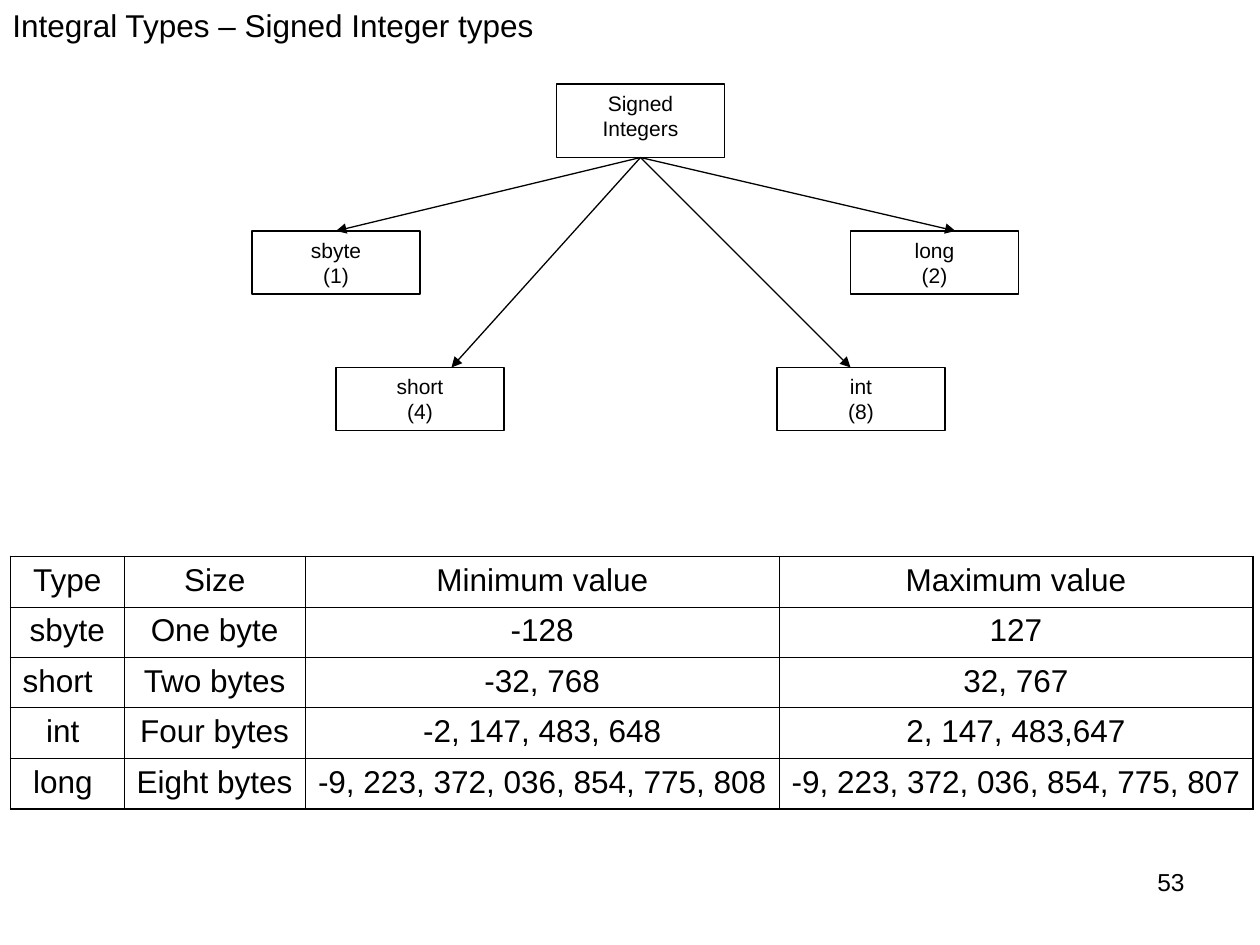
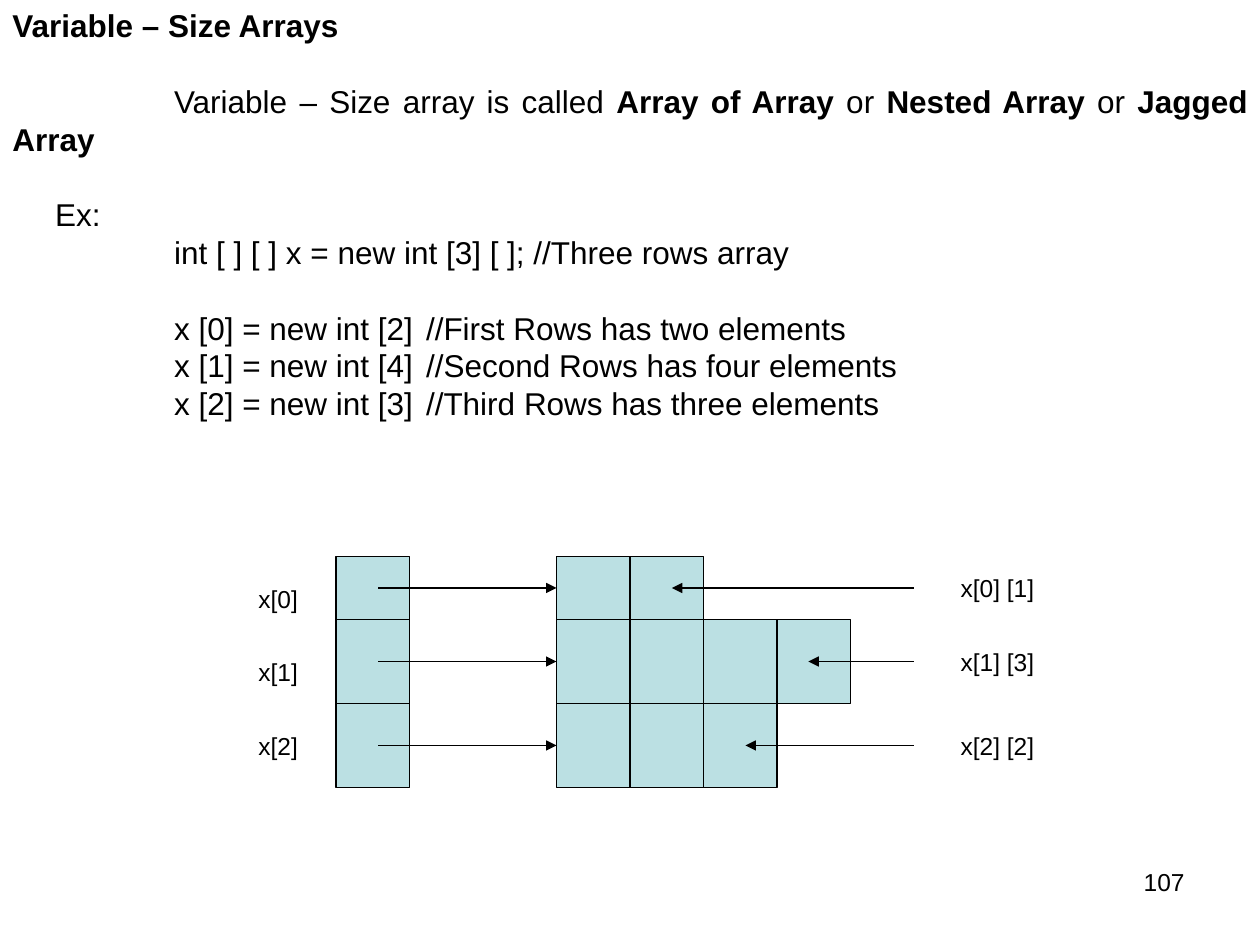
from dataclasses import dataclass
from itertools import pairwise

from lxml.etree import SubElement
from pptx import Presentation
from pptx.dml.color import RGBColor
from pptx.enum.shapes import MSO_CONNECTOR, MSO_SHAPE
from pptx.enum.text import MSO_ANCHOR, PP_ALIGN
from pptx.oxml import parse_xml
from pptx.oxml.ns import nsdecls, qn
from pptx.util import Pt


@dataclass(frozen=True)
class Theme:
    font: str = "Arial"
    ink: RGBColor = RGBColor(0, 0, 0)
    paper: RGBColor = RGBColor(255, 255, 255)
    array_fill: RGBColor = RGBColor(0xBB, 0xE0, 0xE3)
    body: float = 18
    label: float = 14
    box: float = 12
    line: float = 0.75
    inner_border: float = 0.45
    outer_border: float = 1.08
    blank_line: float = 21.6


THEME = Theme()

# Content: integer types
INTEGER_TITLE = "Integral Types – Signed Integer types"
ROOT_NAME, ROOT_BOX = "Signed Integers", (318, 48, 96, 42)
TYPE_BOX_SIZE = (96, 36)
TYPE_BOXES = [  # name, number, left, top, arrow tip x
    ("long", "(2)", 486, 132, 546),
    ("sbyte", "(1)", 144, 132, 192),
    ("int", "(8)", 444, 210, 486),
    ("short", "(4)", 192, 210, 258),
]
RANGE_COLUMNS = [64.8, 103.7, 270.7, 270.7]
RANGE_ROWS = [
    ("Type", "Size", "Minimum value", "Maximum value"),
    ("sbyte", "One byte", "-128", "127"),
    ("short", "Two bytes", "-32, 768", "32, 767"),
    ("int ", "Four bytes", "-2, 147, 483, 648", "2, 147, 483,647"),
    ("long ", "Eight bytes", "-9, 223, 372, 036, 854, 775, 808",
     "-9, 223, 372, 036, 854, 775, 807"),
]

# Content: variable-size arrays
CODE_INDENT, EXAMPLE_INDENT, COMMENT_TAB = 92.4, 24.5, 360
ARRAY_TEXT = [  # runs (text, bold), left margin, first-line indent, blank line above
    ([("Variable – Size Arrays", True)], 0, 0, False),
    ([("Variable – Size array is called ", False), ("Array of Array", True),
      (" or ", False), ("Nested Array", True), (" or ", False),
      ("Jagged Array", True)], 0, CODE_INDENT, True),
    ([("Ex:", False)], EXAMPLE_INDENT, 0, True),
    ([("int [ ] [ ] x = new int [3] [ ]; //Three rows array", False)],
     CODE_INDENT, 0, False),
    ([("x [0] = new int [2]\t//First Rows has two elements", False)],
     CODE_INDENT, 0, True),
    ([("x [1] = new int [4]\t//Second Rows has four elements", False)],
     CODE_INDENT, 0, False),
    ([("x [2] = new int [3]\t//Third Rows has three elements", False)],
     CODE_INDENT, 0, False),
]
ROW_EDGES = [318, 354, 402, 450]
CELL_WIDTH, POINTER_LEFT, ELEMENTS_LEFT = 42, 192, 318
ELEMENT_COLUMNS = [(0, 3), (0, 3), (1, 3), (1, 2)]  # first row, end row
ARRAY_ROWS = [  # row label, its top, element label, its top, element arrow tip x
    ("x[0]", 330, "x[0] [1]", 324, 384),
    ("x[1]", 372, "x[1] [3]", 366, 462),
    ("x[2]", 414, "x[2] [2]", 414, 426),
]


def points(*values):
    return [Pt(value) for value in values]


def add_run(paragraph, text, size, bold=False):
    run = paragraph.add_run()
    run.text = text
    run.font.name = THEME.font
    run.font.size = Pt(size)
    run.font.bold = bold
    run.font.color.rgb = THEME.ink


def set_lines(frame, lines, size, alignment):
    frame.word_wrap = True
    for index, line in enumerate(lines):
        paragraph = frame.add_paragraph() if index else frame.paragraphs[0]
        paragraph.alignment = alignment
        add_run(paragraph, line, size)


def add_text(slide, box, text, size, alignment=PP_ALIGN.CENTER):
    shape = slide.shapes.add_textbox(*points(*box))
    set_lines(shape.text_frame, [text], size, alignment)


def add_box(slide, box, fill, lines=()):
    shape = slide.shapes.add_shape(MSO_SHAPE.RECTANGLE, *points(*box))
    shape.shadow.inherit = False
    shape.fill.solid()
    shape.fill.fore_color.rgb = fill
    shape.line.color.rgb = THEME.ink
    shape.line.width = Pt(THEME.line)
    shape.text_frame.vertical_anchor = MSO_ANCHOR.TOP
    set_lines(shape.text_frame, lines, THEME.box, PP_ALIGN.CENTER)


def add_line(slide, start, end, arrow=False):
    connector = slide.shapes.add_connector(MSO_CONNECTOR.STRAIGHT, *points(*start, *end))
    connector.line.color.rgb = THEME.ink
    connector.line.width = Pt(THEME.line)
    properties = connector.element.spPr
    if arrow:
        SubElement(properties.find(qn("a:ln")), qn("a:tailEnd"), type="triangle")
    SubElement(properties, qn("a:effectLst"))


def add_slide(presentation, number):
    slide = presentation.slides.add_slide(presentation.slide_layouts[6])
    add_text(slide, (516, 492, 168, 37.2), number, THEME.label, PP_ALIGN.RIGHT)
    return slide


def set_borders(cell, outer_sides):
    properties = cell._tc.get_or_add_tcPr()
    for index, side in enumerate("LRTB"):
        width = THEME.outer_border if side in outer_sides else THEME.inner_border
        properties.insert(index, parse_xml(
            f'<a:ln{side} {nsdecls("a")} w="{Pt(width)}"><a:solidFill>'
            f'<a:srgbClr val="{THEME.ink}"/></a:solidFill></a:ln{side}>'))


def add_range_table(slide):
    row_count, column_count = len(RANGE_ROWS), len(RANGE_COLUMNS)
    row_height = 28.8
    table = slide.shapes.add_table(
        row_count, column_count,
        *points(6, 318, sum(RANGE_COLUMNS), row_height * row_count)).table
    table.first_row = table.horz_banding = False
    for column, width in zip(table.columns, RANGE_COLUMNS):
        column.width = Pt(width)
    for row_index, values in enumerate(RANGE_ROWS):
        table.rows[row_index].height = Pt(row_height)
        for column_index, value in enumerate(values):
            cell = table.cell(row_index, column_index)
            cell.margin_left = cell.margin_right = Pt(7)
            cell.fill.background()
            alignment = PP_ALIGN.LEFT if value == "short" else PP_ALIGN.CENTER
            set_lines(cell.text_frame, [value], THEME.body, alignment)
            outer_sides = {
                "L": column_index == 0, "R": column_index == column_count - 1,
                "T": row_index == 0, "B": row_index == row_count - 1}
            set_borders(cell, [side for side, outer in outer_sides.items() if outer])


def build_integer_slide(presentation):
    slide = add_slide(presentation, "53")
    add_text(slide, (0, 0, 324, 28.8), INTEGER_TITLE, THEME.body, PP_ALIGN.LEFT)

    # Type tree
    left, top, width, height = ROOT_BOX
    add_box(slide, ROOT_BOX, THEME.paper, [ROOT_NAME])
    for name, number, box_left, box_top, tip in TYPE_BOXES:
        add_box(slide, (box_left, box_top, *TYPE_BOX_SIZE), THEME.paper, [name, number])
        add_line(slide, (left + width / 2, top + height), (tip, box_top), arrow=True)

    add_range_table(slide)


def add_array_text(slide):
    frame = slide.shapes.add_textbox(*points(0, 0, 720, 244.8)).text_frame
    frame.word_wrap = True
    frame.vertical_anchor = MSO_ANCHOR.MIDDLE
    for index, (runs, margin, indent, blank_above) in enumerate(ARRAY_TEXT):
        paragraph = frame.add_paragraph() if index else frame.paragraphs[0]
        paragraph.alignment = PP_ALIGN.JUSTIFY if indent else PP_ALIGN.LEFT
        if blank_above:
            paragraph.space_before = Pt(THEME.blank_line)
        properties = paragraph._p.get_or_add_pPr()
        properties.set("marL", str(Pt(margin)))
        properties.set("indent", str(Pt(indent)))
        if any("\t" in text for text, _ in runs):
            tabs = SubElement(properties, qn("a:tabLst"))
            SubElement(tabs, qn("a:tab"), pos=str(Pt(COMMENT_TAB)), algn="l")
        for text, bold in runs:
            add_run(paragraph, text, THEME.body, bold)


def add_cell_column(slide, left, first_row, end_row):
    edges = ROW_EDGES[first_row:end_row + 1]
    add_box(slide, (left, edges[0], CELL_WIDTH, edges[-1] - edges[0]), THEME.array_fill)
    for edge in edges[1:-1]:
        add_line(slide, (left, edge), (left + CELL_WIDTH, edge))


def build_array_slide(presentation):
    slide = add_slide(presentation, "107")
    add_array_text(slide)

    # Row pointers and the elements they lead to
    add_cell_column(slide, POINTER_LEFT, 0, 3)
    for index, rows in enumerate(ELEMENT_COLUMNS):
        add_cell_column(slide, ELEMENTS_LEFT + index * CELL_WIDTH, *rows)

    # Arrows and labels of each row
    for (top, bottom), row in zip(pairwise(ROW_EDGES), ARRAY_ROWS):
        row_label, row_top, element_label, element_top, tip = row
        middle = (top + bottom) / 2
        add_line(slide, (216, middle), (ELEMENTS_LEFT, middle), arrow=True)
        add_line(slide, (522, middle), (tip, middle), arrow=True)
        add_text(slide, (138, row_top, 42, 24.5), row_label, THEME.label)
        add_text(slide, (540, element_top, 60, 24.5), element_label, THEME.label)


def main():
    presentation = Presentation()
    presentation.slide_width, presentation.slide_height = points(720, 540)
    build_integer_slide(presentation)
    build_array_slide(presentation)
    presentation.save("out.pptx")


if __name__ == "__main__":
    main()
